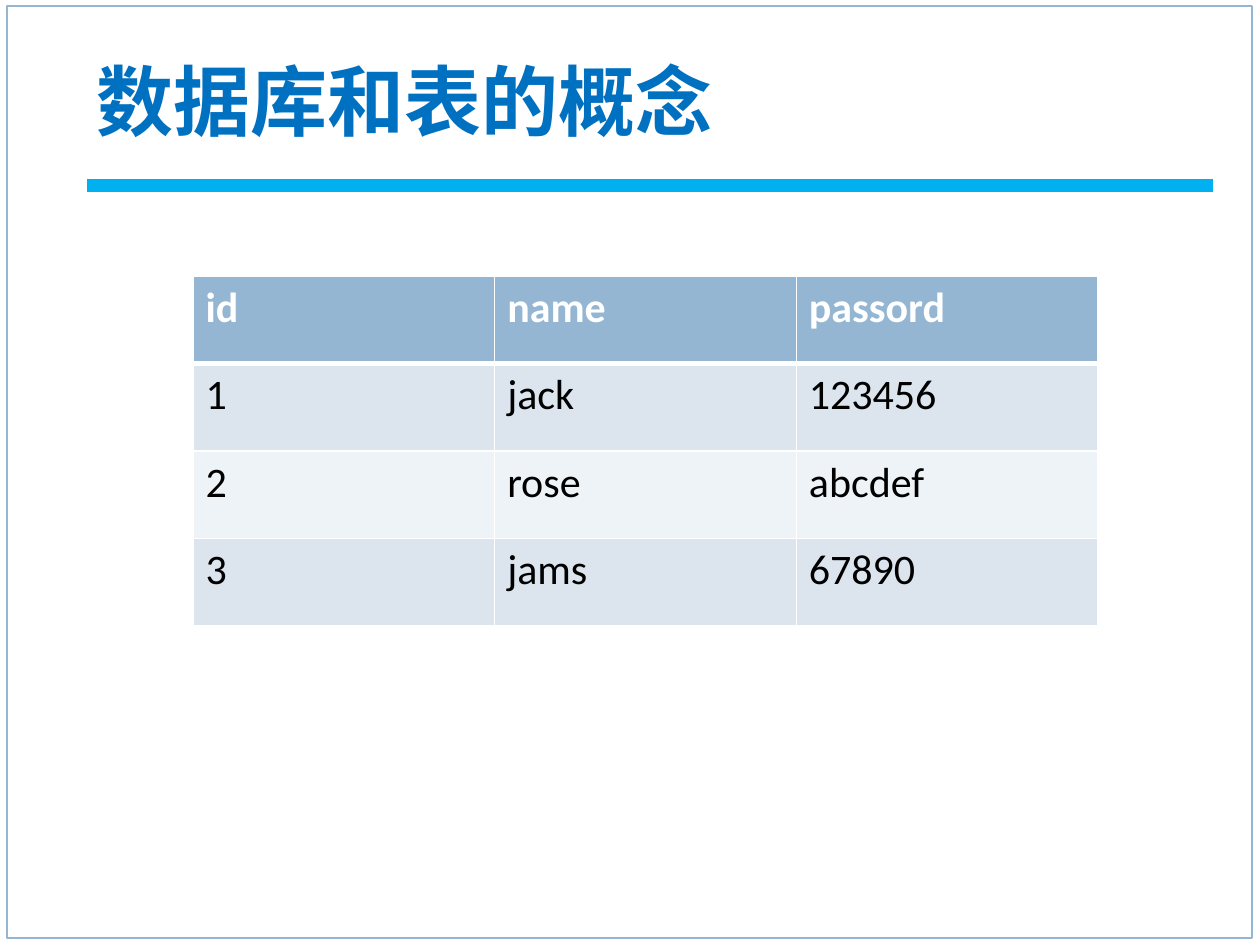
import pptx
import pptx.dml.color
import pptx.enum.shapes
import pptx.enum.text
import pptx.oxml
import pptx.oxml.ns
import pptx.util

PX = 914400 // 126
WHITE, BLACK = "FFFFFF", "000000"
FRAME_BLUE, BAR_BLUE, TITLE_BLUE = "94B6D2", "00B0F0", "0070C0"
BANDS = ("DCE5EE", "EEF3F7")
TITLE = {"name": "Times New Roman", "size": pptx.util.Pt(44), "bold": True}
HEADER = {"name": "Calibri", "size": pptx.util.Pt(24), "bold": True}
BODY = {**HEADER, "bold": False}
ROWS = [
    ("id", "name", "passord"),
    ("1", "jack", "123456"),
    ("2", "rose", "abcdef"),
    ("3", "jams", "67890"),
]


def color(value):
    return pptx.dml.color.RGBColor.from_string(value)


def lengths(*values):
    """Turn px into EMU."""
    return [value * PX for value in values]


class SlideBuilder:
    """Holds the deck, the current page and the shared border style."""

    line_width = pptx.util.Pt(1.5)

    def __init__(self, width, height):
        self.deck = pptx.Presentation()
        self.deck.slide_width, self.deck.slide_height = lengths(width, height)
        self.page = self.deck.slides.add_slide(self.deck.slide_layouts[6])

    def rectangle(self, place, fill, line):
        kind = pptx.enum.shapes.MSO_SHAPE.RECTANGLE
        box = self.page.shapes.add_shape(kind, *lengths(*place))
        box.shadow.inherit = False
        box.fill.solid()
        box.fill.fore_color.rgb = color(fill)
        box.line.color.rgb = color(line)
        box.line.width = self.line_width

    def add_text(self, frame, text, text_color, style):
        span = frame.paragraphs[0].add_run()
        span.text = text
        span.font.color.rgb = color(text_color)
        for key, value in style.items():
            setattr(span.font, key, value)

    def title(self, place, text):
        box = self.page.shapes.add_textbox(*lengths(*place))
        box.fill.solid()
        box.fill.fore_color.rgb = color(WHITE)
        box.text_frame.word_wrap = True
        box.text_frame.vertical_anchor = pptx.enum.text.MSO_ANCHOR.MIDDLE
        self.add_text(box.text_frame, text, TITLE_BLUE, TITLE)

    def border(self, cell, widths):
        """Draw white borders, with widths in points for each side."""
        for index, (side, width) in enumerate(widths.items()):
            line = pptx.oxml.parse_xml(
                f'<a:ln{side} {pptx.oxml.ns.nsdecls("a")} w="{pptx.util.Pt(width)}">'
                f'<a:solidFill><a:srgbClr val="{WHITE}"/></a:solidFill></a:ln{side}>'
            )
            cell._tc.get_or_add_tcPr().insert(index, line)

    def table(self, place, rows):
        frame = self.page.shapes.add_table(len(rows), len(rows[0]), *lengths(*place))
        for row, texts in enumerate(rows):
            is_header = row == 0
            for column, text in enumerate(texts):
                cell = frame.table.cell(row, column)
                cell.fill.solid()
                fill = FRAME_BLUE if is_header else BANDS[(row - 1) % 2]
                cell.fill.fore_color.rgb = color(fill)
                top, bottom = 3 if row == 1 else 1, 3 if is_header else 1
                self.border(cell, {"L": 1, "R": 1, "T": top, "B": bottom})
                self.add_text(cell.text_frame, text, WHITE if is_header else BLACK,
                              HEADER if is_header else BODY)


def main():
    builder = SlideBuilder(1260, 945)
    builder.rectangle((7, 6, 1245, 932), WHITE, FRAME_BLUE)
    builder.rectangle((86, 178, 1128, 15), BAR_BLUE, WHITE)
    builder.title((84, 32, 1124, 136), "数据库和表的概念")
    builder.table((193, 276, 905, 350), ROWS)
    builder.deck.save("out.pptx")


if __name__ == "__main__":
    main()
